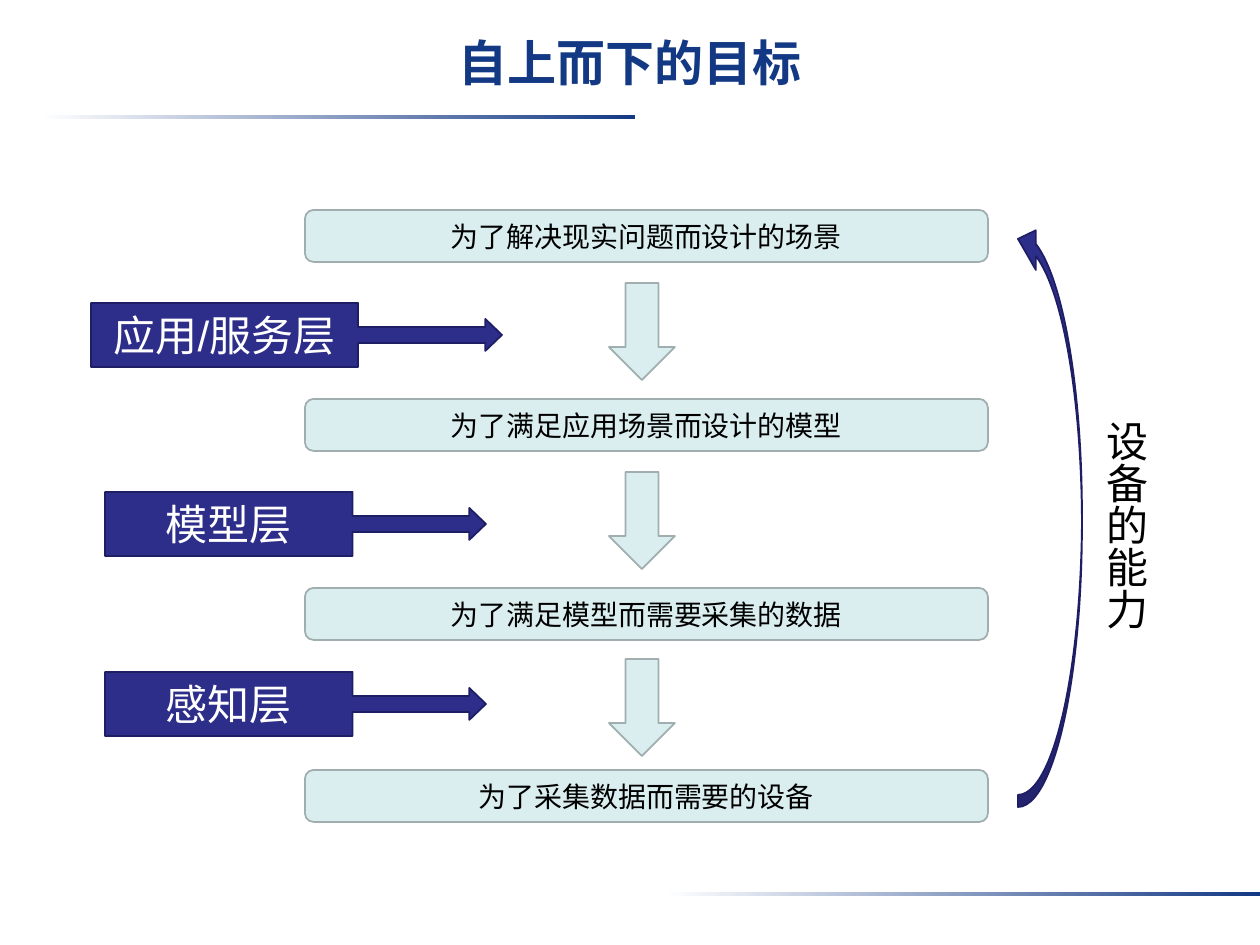
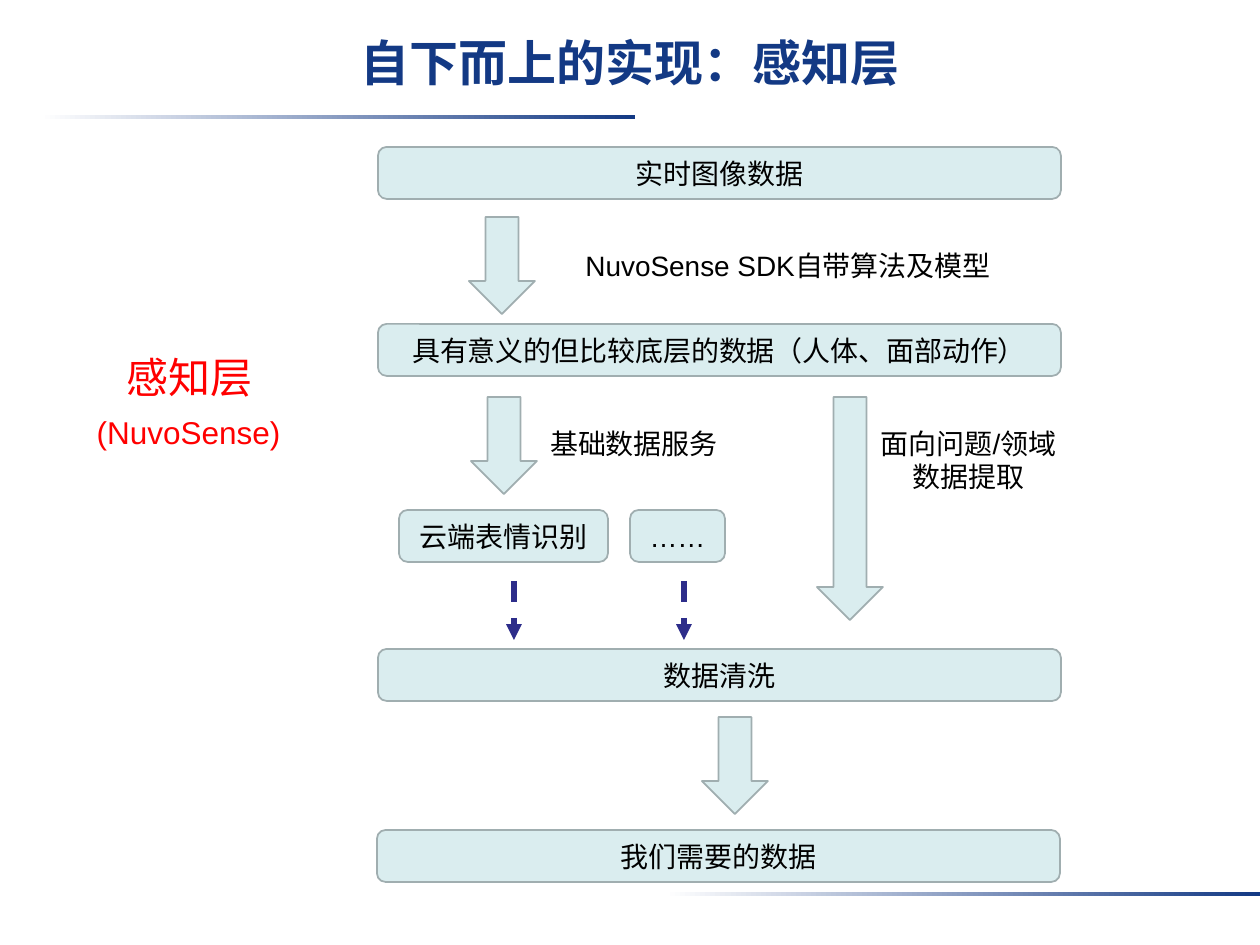
from dataclasses import dataclass

from lxml import etree
from pptx import Presentation
from pptx import util as u
from pptx.dml.color import RGBColor
from pptx.enum import dml, shapes, text
from pptx.oxml import ns

# Scale: 126 px to the inch
PX = u.Inches(1) / 126
PAGE_W, PAGE_H = 1260, 945

FONT = "Arial"
WHITE = RGBColor(0xFF, 0xFF, 0xFF)
BLACK = RGBColor(0x00, 0x00, 0x00)
RED = RGBColor(0xFF, 0x00, 0x00)
TITLE_BLUE = RGBColor(0x13, 0x39, 0x84)
INDIGO = RGBColor(0x2D, 0x2D, 0x8A)
INDIGO_EDGE = RGBColor(0x1E, 0x1E, 0x64)
PALE = RGBColor(0xDA, 0xED, 0xEF)
PALE_EDGE = RGBColor(0xA0, 0xAE, 0xB0)

SHAPE = shapes.MSO_SHAPE


@dataclass(frozen=True)
class Step:
    """A rounded bar of the flow."""
    label: str
    left: int
    top: int
    width: int = 683


@dataclass(frozen=True)
class DownArrow:
    left: int
    top: int
    height: int = 97


@dataclass(frozen=True)
class Layer:
    """A callout naming the layer between two steps."""
    label: str
    left: int
    top: int
    width: int = 381
    wrap: bool = True


@dataclass(frozen=True)
class Note:
    label: str
    left: int
    top: int
    width: int
    height: int
    size: int = 16
    color: RGBColor = BLACK


def px(length: int) -> int:
    return round(length * PX)


# Building blocks
def write(box, label: str, *, size: int, color: RGBColor = BLACK, bold: bool = False,
          align=text.PP_ALIGN.CENTER, anchor=text.MSO_ANCHOR.TOP, wrap: bool = True):
    frame = box.text_frame
    frame.word_wrap = wrap
    frame.vertical_anchor = anchor
    for index, line in enumerate(label.split("\n")):
        para = frame.add_paragraph() if index else frame.paragraphs[0]
        para.alignment = align
        span = para.add_run()
        span.text = line
        span.font.name = FONT
        span.font.size = u.Pt(size)
        span.font.bold = bold
        span.font.color.rgb = color
    return frame


def add_text(page, label: str, left: int, top: int, width: int, height: int, **style):
    box = page.shapes.add_textbox(px(left), px(top), px(width), px(height))
    write(box, label, **style)
    return box


def add_block(page, kind, left: int, top: int, width: int, height: int,
              fill: RGBColor = PALE, edge: RGBColor = PALE_EDGE):
    block = page.shapes.add_shape(kind, px(left), px(top), px(width), px(height))
    block.shadow.inherit = False
    block.fill.solid()
    block.fill.fore_color.rgb = fill
    block.line.color.rgb = edge
    block.line.width = u.Pt(1)
    return block


def add_fading_rule(page, left: int, top: int) -> None:
    rule = page.shapes.add_shape(SHAPE.RECTANGLE, px(left), px(top), px(595), px(4))
    rule.shadow.inherit = False
    rule.line.fill.background()
    rule.fill.gradient()
    rule.fill.gradient_angle = 0
    for stop, color in zip(rule.fill.gradient_stops, (WHITE, TITLE_BLUE)):
        stop.color.rgb = color


def add_page(deck, title: str):
    page = deck.slides.add_slide(deck.slide_layouts[6])
    add_fading_rule(page, 40, 115)
    add_fading_rule(page, 665, 892)
    box = add_text(page, title, 0, 25, PAGE_W, 94, size=28, color=TITLE_BLUE, bold=True)
    box.text_frame.margin_top = u.Inches(0.06)
    return page


def add_step(page, step: Step) -> None:
    bar = add_block(page, SHAPE.ROUNDED_RECTANGLE, step.left, step.top, step.width, 52)
    write(bar, step.label, size=16, anchor=text.MSO_ANCHOR.MIDDLE)


def add_down_arrow(page, arrow: DownArrow) -> None:
    add_block(page, SHAPE.DOWN_ARROW, arrow.left, arrow.top, 66, arrow.height)


def add_layer(page, layer: Layer) -> None:
    callout = add_block(page, SHAPE.RIGHT_ARROW_CALLOUT, layer.left, layer.top,
                        layer.width, 64, INDIGO, INDIGO_EDGE)
    for index, value in enumerate((0.25, 0.25, 0.26, 0.65)):
        callout.adjustments[index] = value
    write(callout, layer.label, size=24, color=WHITE,
          anchor=text.MSO_ANCHOR.MIDDLE, wrap=layer.wrap)


def add_note(page, note: Note) -> None:
    add_text(page, note.label, note.left, note.top, note.width, note.height,
             size=note.size, color=note.color)


def add_dashed_arrow(page, x: int, top: int, bottom: int) -> None:
    arrow = page.shapes.add_connector(shapes.MSO_CONNECTOR.STRAIGHT,
                                      px(x), px(top), px(x), px(bottom))
    arrow.line.color.rgb = INDIGO
    arrow.line.width = u.Pt(3)
    arrow.line.dash_style = dml.MSO_LINE.DASH
    etree.SubElement(arrow.line._get_or_add_ln(), ns.qn("a:tailEnd"), type="triangle")
    etree.SubElement(arrow._element.spPr, ns.qn("a:effectLst"))


# Slide 1: goals from the top down
def build_goals(deck) -> None:
    page = add_page(deck, "自上而下的目标")
    goals = ("为了解决现实问题而设计的场景", "为了满足应用场景而设计的模型",
             "为了满足模型而需要采集的数据", "为了采集数据而需要的设备")
    for label, top in zip(goals, (210, 399, 588, 770)):
        add_step(page, Step(label, 305, top))
    for top in (283, 472, 659):
        add_down_arrow(page, DownArrow(609, top))
    for layer in (Layer("应用/服务层", 91, 303, 411, wrap=False),
                  Layer("模型层", 105, 492),
                  Layer("感知层", 105, 672)):
        add_layer(page, layer)

    # Return arrow from the devices up to the scenario
    loop = add_block(page, SHAPE.CURVED_UP_ARROW, 756, 481, 588, 64, INDIGO, INDIGO_EDGE)
    loop.rotation = 270
    for index, value in enumerate((0.19, 0.62, 0.28)):
        loop.adjustments[index] = value

    ability = add_text(page, "设备的能力", 1082, 408, 76, 253, size=24,
                       align=text.PP_ALIGN.LEFT)
    frame = ability.text_frame
    frame.margin_left = frame.margin_right = u.Inches(0.05)
    frame.margin_top = frame.margin_bottom = u.Inches(0.1)
    ability._element.txBody.bodyPr.set("vert", "eaVert")


# Slide 2: the perception layer from the bottom up
def build_perception(deck) -> None:
    page = add_page(deck, "自下而上的实现：感知层")
    for step in (Step("实时图像数据", 378, 147),
                 Step("具有意义的但比较底层的数据（人体、面部动作）", 378, 324),
                 Step("云端表情识别", 399, 510, 209),
                 Step("……", 630, 510, 95),
                 Step("数据清洗", 378, 649),
                 Step("我们需要的数据", 377, 830)):
        add_step(page, step)
    for arrow in (DownArrow(469, 217), DownArrow(471, 397),
                  DownArrow(817, 397, 223), DownArrow(702, 717)):
        add_down_arrow(page, arrow)
    for x in (514, 684):
        add_dashed_arrow(page, x, 581, 640)
    for note in (Note("感知层", 74, 345, 231, 113, 24, RED),
                 Note("(NuvoSense)", 73, 407, 231, 50, 18, RED),
                 Note("NuvoSense SDK自带算法及模型", 557, 242, 462, 47),
                 Note("基础数据服务", 534, 420, 200, 47),
                 Note("面向问题/领域\n数据提取", 866, 420, 205, 113)):
        add_note(page, note)


def main() -> None:
    deck = Presentation()
    deck.slide_width, deck.slide_height = px(PAGE_W), px(PAGE_H)
    build_goals(deck)
    build_perception(deck)
    deck.save("out.pptx")


if __name__ == "__main__":
    main()
